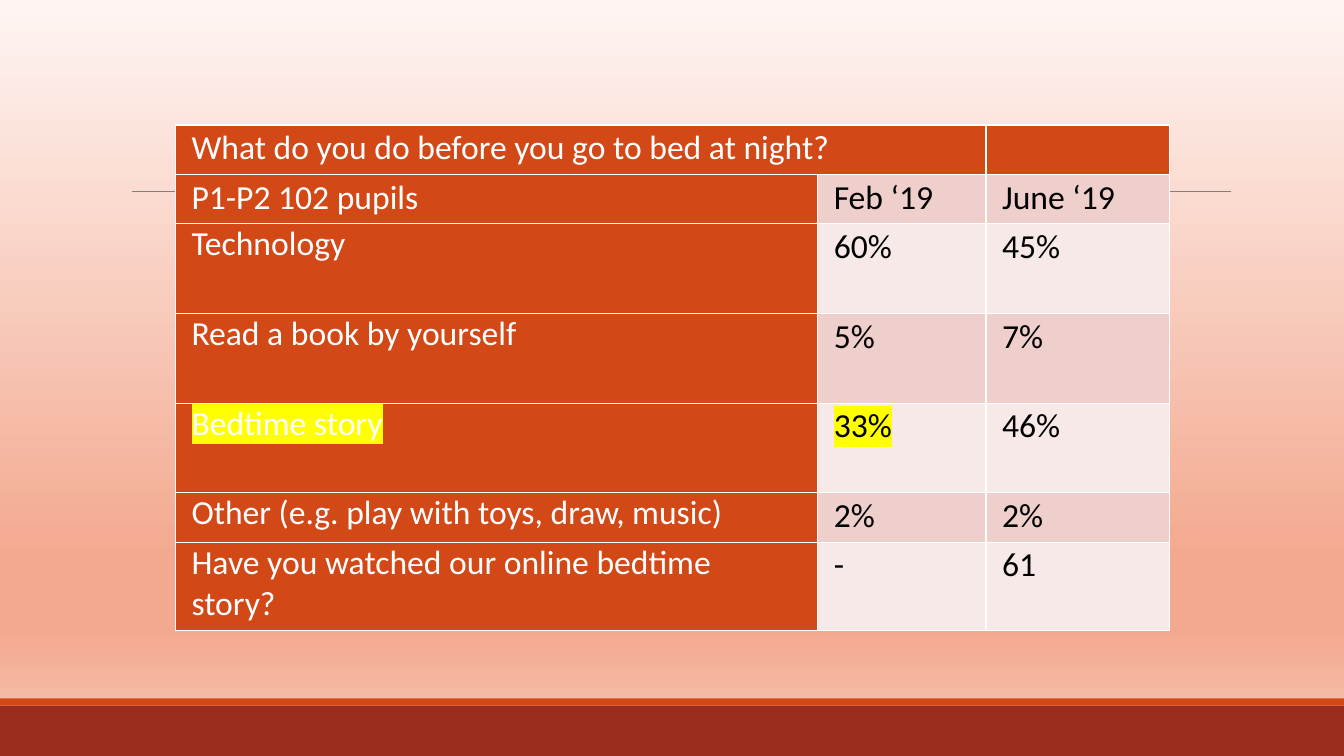
"""Build the bedtime survey slide."""
import dataclasses

import lxml.etree
import pptx
import pptx.dml.color
import pptx.enum.shapes
import pptx.oxml.ns
import pptx.util

Inches = pptx.util.Inches
qn = pptx.oxml.ns.qn


@dataclasses.dataclass(frozen=True)
class Theme:
    """Hold the colours and type of the slide."""
    font: str = "Calibri"
    size: int = 24
    white: str = "FFFFFF"
    black: str = "000000"
    orange: str = "D34817"
    brick: str = "9B2D1F"
    grey: str = "808080"
    mark: str = "FFFF00"
    bands: tuple = ("EFCFCC", "F7E9E8")
    sky: tuple = ((0, "FEF5F3"), (74, "F3A98F"), (83, "F3A98F"), (100, "F7C6B4"))


THEME = Theme()
COLS = (6.37, 1.67, 1.82)
ROWS = (
    (0.49, "What do you do before you go to bed at night?", "", ""),
    (0.49, "P1-P2 102 pupils", "Feb ‘19", "June ‘19"),
    (0.89, "Technology", "60%", "45%"),
    (0.89, "Read a book by yourself", "5%", "7%"),
    (0.89, "Bedtime story", "33%", "46%"),
    (0.49, "Other (e.g.\u00a0play with toys, draw, music)", "2%", "2%"),
    (0.88, "Have you watched our online bedtime story?", "-", "61"),
)
MARKED = {"Bedtime story", "33%"}


def rgb(code):
    """Turn a hex code into a colour."""
    return pptx.dml.color.RGBColor.from_string(code)


def add_tint(node, code):
    """Add a colour element under a node."""
    lxml.etree.SubElement(node, qn("a:srgbClr"), val=code)


def paint_sky(slide):
    """Fill the background with a vertical gradient."""
    fill = slide.background.fill
    fill.gradient()
    fill.gradient_angle = 270
    stops = slide.background._cSld.find(".//" + qn("a:gsLst"))
    for stop in list(stops):
        stops.remove(stop)
    for place, code in THEME.sky:
        add_tint(lxml.etree.SubElement(stops, qn("a:gs"), pos=str(place * 1000)), code)


def add_rule(slide, left, right, top):
    """Draw a thin level line."""
    kind = pptx.enum.shapes.MSO_CONNECTOR.STRAIGHT
    rule = slide.shapes.add_connector(
        kind, Inches(left), Inches(top), Inches(right), Inches(top))
    rule.line.color.rgb = rgb(THEME.grey)
    rule.line.width = pptx.util.Pt(0.5)
    lxml.etree.SubElement(rule._element.spPr, qn("a:effectLst"))


def add_band(slide, top, height, code):
    """Draw a plain band across the slide."""
    kind = pptx.enum.shapes.MSO_SHAPE.RECTANGLE
    band = slide.shapes.add_shape(
        kind, 0, Inches(top), Inches(13.33), Inches(height))
    band.shadow.inherit = False
    band.fill.solid()
    band.fill.fore_color.rgb = rgb(code)
    band.line.fill.background()


def add_edges(cell):
    """Give a cell white borders on all sides."""
    props = cell._tc.get_or_add_tcPr()
    for side in "LRTB":
        edge = lxml.etree.SubElement(props, qn("a:ln" + side), w="12700")
        add_tint(lxml.etree.SubElement(edge, qn("a:solidFill")), THEME.white)


def write_cell(cell, text, code, loose):
    """Write one line of text into a cell."""
    cell.margin_left = cell.margin_right = Inches(0.16)
    cell.margin_top = cell.margin_bottom = 0
    para = cell.text_frame.paragraphs[0]
    if loose:
        para.line_spacing = 1.07
        para.space_after = pptx.util.Pt(8)
    para.font.name = THEME.font
    para.font.size = pptx.util.Pt(THEME.size)
    para.font.color.rgb = rgb(code)
    run = para.add_run()
    run.text = text
    if text in MARKED:
        props = run._r.get_or_add_rPr()
        add_tint(lxml.etree.SubElement(props, qn("a:highlight")), THEME.mark)


def add_survey(slide, left, top):
    """Build the table of survey answers."""
    frame = slide.shapes.add_table(
        len(ROWS), len(COLS), Inches(left), Inches(top),
        Inches(sum(COLS)), Inches(sum(row[0] for row in ROWS)))
    table = frame.table
    table.first_row = table.horz_banding = False
    for col, width in zip(table.columns, COLS):
        col.width = Inches(width)
    for i, (height, *texts) in enumerate(ROWS):
        table.rows[i].height = Inches(height)
        for j, text in enumerate(texts):
            cell = table.cell(i, j)
            head = i == 0 or j == 0
            add_edges(cell)
            cell.fill.solid()
            cell.fill.fore_color.rgb = rgb(
                THEME.orange if head else THEME.bands[(i - 1) % 2])
            if text:
                ink = THEME.white if head else THEME.black
                write_cell(cell, text, ink, j > 0 or i < 2)
    table.cell(0, 0).merge(table.cell(0, 1))


def main():
    """Build and save the slide."""
    deck = pptx.Presentation()
    deck.slide_width, deck.slide_height = Inches(13.33), Inches(7.5)
    slide = deck.slides.add_slide(deck.slide_layouts[6])
    paint_sky(slide)
    add_rule(slide, 1.31, 12.21, 1.9)
    add_band(slide, 7, 0.5, THEME.brick)
    add_band(slide, 6.93, 0.07, THEME.orange)
    add_survey(slide, 1.74, 1.24)
    deck.save("out.pptx")


if __name__ == "__main__":
    main()
